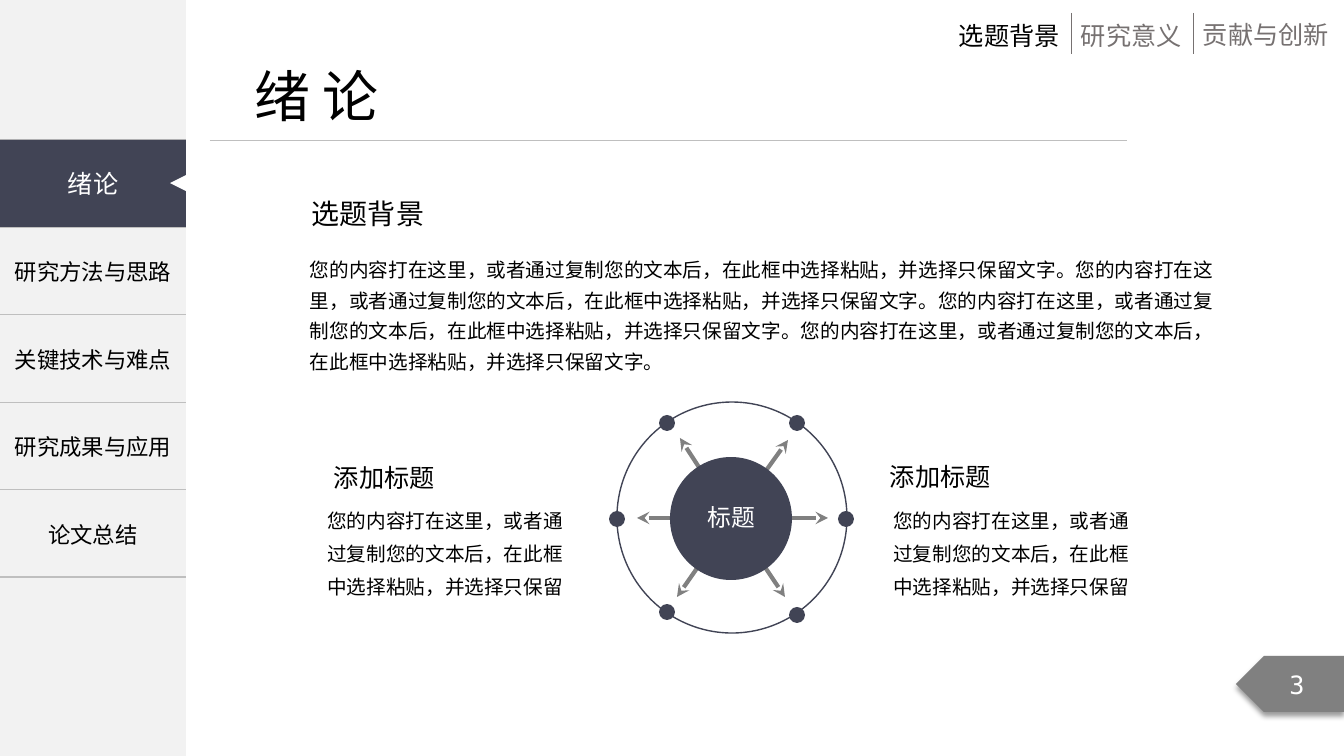
from lxml import etree
from pptx import Presentation
from pptx import util as u
from pptx.dml.color import RGBColor
from pptx.enum import shapes, text
from pptx.oxml import parse_xml
from pptx.oxml.ns import nsdecls, qn

# Content
CHAPTER = "绪论"
TITLE = "绪 论"
SIDEBAR = ["", "研究方法与思路", "关键技术与难点", "研究成果与应用", "论文总结"]
PAGE = "3"
TABS = [("选题背景", 949, 15, 122, "black"),
        ("研究意义", 1071, 15, 122, "muted"),
        ("贡献与创新", 1193, 14, 147, "muted")]
SECTION = "选题背景"
BODY = "您的内容打在这里，或者通过复制您的文本后，在此框中选择粘贴，并选择只保留文字。" * 4
HUB = "标题"
SIDE_HEAD = "添加标题"
SIDE_TEXT = "您的内容打在这里，或者通过复制您的文本后，在此框中选择粘贴，并选择只保留"
SIDES = [((324, 457), (317, 494)), ((880, 456), (883, 494))]

# Layout in px
WIDTH, HEIGHT = 1344, 756
SIDEBAR_WIDTH, MENU_TOP, MENU_HEIGHT = 186, 140, 437
HUB_CENTRE = (732, 518)
DOTS = [(797, 423), (667, 423), (617, 519), (846, 519), (797, 615), (667, 612)]
ARROW_TIPS = [(788, 440), (828, 518), (680, 438), (637, 518), (677, 597), (785, 597)]

CJK, MONO = "Noto Sans CJK SC", "DejaVu Sans Mono"
COLORS = {"navy": "414455", "panel": "F2F2F2", "rule": "BFBFBF", "gray": "808080",
          "muted": "767171", "black": "000000", "white": "FFFFFF"}
LEFT, CENTER, RIGHT = text.PP_ALIGN.LEFT, text.PP_ALIGN.CENTER, text.PP_ALIGN.RIGHT
KIND = shapes.MSO_SHAPE
SCALE = 12192000 / WIDTH


def px(*lengths):
    return [u.Emu(round(length * SCALE)) for length in lengths]


def rgb(name):
    return RGBColor.from_string(COLORS[name])


def write(frame, words, size, color="black", font=CJK, **paragraph_format):
    paragraph = frame.paragraphs[0]
    for key, value in paragraph_format.items():
        setattr(paragraph, key, value)
    run = paragraph.add_run()
    run.text = words
    for key, value in {"size": u.Pt(size), "name": font, "bold": False}.items():
        setattr(run.font, key, value)
    run.font.color.rgb = rgb(color)
    etree.SubElement(run.font._element, qn("a:ea"), typeface=font)


def add_text(box, words, size, color="black", wrap=False, **paragraph_format):
    frame = slide.shapes.add_textbox(*px(*box)).text_frame
    frame.word_wrap = wrap
    frame.auto_size = text.MSO_AUTO_SIZE.SHAPE_TO_FIT_TEXT
    write(frame, words, size, color, **paragraph_format)


def add_shape(kind, box, fill=None, line=None):
    shape = slide.shapes.add_shape(kind, *px(*box))
    shape.shadow.inherit = False
    if fill:
        shape.fill.solid()
        shape.fill.fore_color.rgb = rgb(fill)
    else:
        shape.fill.background()
    if line:
        shape.line.color.rgb = rgb(line)
        shape.line.width = u.Pt(1)
    else:
        shape.line.fill.background()
    return shape


def add_label(shape, words, font=CJK):
    shape.text_frame.vertical_anchor = text.MSO_ANCHOR.MIDDLE
    write(shape.text_frame, words, 18, "white", font, alignment=CENTER)


def add_line(start, end, color, width, arrow=False):
    line = slide.shapes.add_connector(shapes.MSO_CONNECTOR.STRAIGHT, *px(*start, *end))
    line.line.color.rgb = rgb(color)
    line.line.width = u.Pt(width)
    if arrow:
        etree.SubElement(line.line._get_or_add_ln(), qn("a:tailEnd"), type="stealth")
    etree.SubElement(line._element.spPr, qn("a:effectLst"))


def set_borders(cell):
    """Rule above and below the cell, nothing at its sides."""
    rule = f'<a:solidFill><a:srgbClr val="{COLORS["rule"]}"/></a:solidFill>'
    edges = {"lnL": "<a:noFill/>", "lnR": "<a:noFill/>", "lnT": rule, "lnB": rule}
    properties = cell._tc.get_or_add_tcPr()
    for place, (edge, paint) in enumerate(edges.items()):
        properties.insert(place, parse_xml(
            f'<a:{edge} {nsdecls("a")} w="12700">{paint}</a:{edge}>'))


def add_sidebar():
    add_shape(KIND.RECTANGLE, (0, 0, SIDEBAR_WIDTH, HEIGHT), "panel")
    menu = slide.shapes.add_table(
        len(SIDEBAR), 1, *px(0, MENU_TOP, SIDEBAR_WIDTH, MENU_HEIGHT)).table
    menu.first_row = menu.horz_banding = False
    for row, entry in enumerate(SIDEBAR):
        cell = menu.cell(row, 0)
        cell.fill.background()
        cell.vertical_anchor = text.MSO_ANCHOR.MIDDLE
        set_borders(cell)
        if entry:
            write(cell.text_frame, entry, 16, alignment=CENTER)
    add_label(add_shape(KIND.RECTANGLE, (0, MENU_TOP, SIDEBAR_WIDTH, 87), "navy"), CHAPTER)
    add_shape(KIND.ISOSCELES_TRIANGLE, (170, 175, 16, 16), "white").rotation = 270


def add_header():
    title = slide.shapes.title
    title.left, title.top, title.width, title.height = px(244, 56, 161, 78)
    frame = title.text_frame
    for key, value in {"word_wrap": False, "vertical_anchor": text.MSO_ANCHOR.TOP,
                       "auto_size": text.MSO_AUTO_SIZE.SHAPE_TO_FIT_TEXT}.items():
        setattr(frame, key, value)
    write(frame, TITLE, 40, alignment=LEFT)
    add_line((210, 140), (1127, 140), "rule", 0.5)
    for place, (words, left, top, width, color) in enumerate(TABS):
        if place:
            add_line((left, 13), (left, 54), "muted", 0.5)
        add_text((left, top, width, 40), words, 18, color)


def add_page_number():
    tag = add_shape(KIND.PENTAGON, (1236, 656, 108, 56), "gray")
    tag._element.spPr.find(qn("a:xfrm")).set("flipH", "1")
    tag._element.spPr.find(qn("a:effectLst")).append(parse_xml(
        f'<a:outerShdw {nsdecls("a")} blurRad="50800" dist="38100" dir="5400000">'
        f'<a:srgbClr val="{COLORS["black"]}"><a:alpha val="40000"/></a:srgbClr>'
        '</a:outerShdw>'))
    add_label(tag, PAGE, MONO)


def add_wheel():
    add_shape(KIND.OVAL, (617, 402, 230, 231), line="navy")
    for x, y in DOTS:
        add_shape(KIND.OVAL, (x - 8, y - 8, 16, 16), "navy")
    for tip in ARROW_TIPS:
        add_line(HUB_CENTRE, tip, "gray", 3, arrow=True)
    add_shape(KIND.OVAL, (670, 457, 122, 123), "navy")
    add_text((698, 498, 76, 39), HUB, 17, "white")


deck = Presentation()
deck.slide_width, deck.slide_height = px(WIDTH, HEIGHT)
slide = deck.slides.add_slide(deck.slide_layouts[5])
add_sidebar()
add_header()
add_page_number()
add_text((300, 246, 932, 161), BODY, 14, wrap=True, line_spacing=1.3)
add_text((302, 192, 133, 44), SECTION, 20)
add_wheel()
for head, passage in SIDES:
    add_text((*head, 122, 40), SIDE_HEAD, 18)
    add_text((*passage, 256, 110), SIDE_TEXT, 14, wrap=True,
             alignment=RIGHT, line_spacing=u.Pt(23.7))
deck.save("out.pptx")
